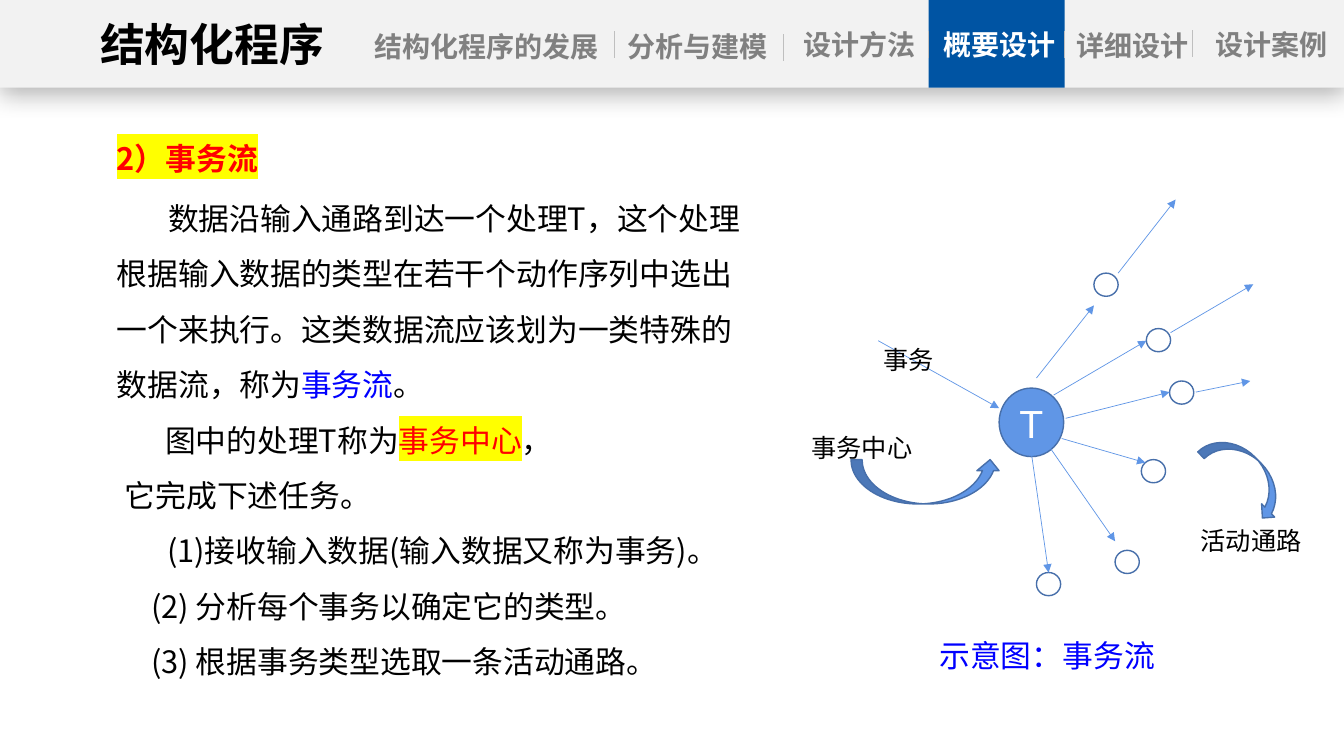
from lxml.etree import SubElement
from pptx import Presentation
from pptx.dml.color import RGBColor
from pptx.enum.shapes import MSO_CONNECTOR, MSO_SHAPE
from pptx.enum.text import MSO_ANCHOR, MSO_AUTO_SIZE, PP_ALIGN
from pptx.oxml import parse_xml
from pptx.oxml.ns import nsdecls, qn
from pptx.util import Pt

EMU_PER_PX = 9144
LATIN_FONT = "Arial"
CJK_FONT = "Noto Sans CJK SC"

BLACK = RGBColor(0x00, 0x00, 0x00)
WHITE = RGBColor(0xFF, 0xFF, 0xFF)
RED = RGBColor(0xFF, 0x00, 0x00)
BLUE = RGBColor(0x00, 0x00, 0xFF)
YELLOW = RGBColor(0xFF, 0xFF, 0x00)
GRAY = RGBColor(0x80, 0x80, 0x80)
HEADER_GRAY = RGBColor(0xF2, 0xF2, 0xF2)
DIVIDER_GRAY = RGBColor(0xBF, 0xBF, 0xBF)
TAB_BLUE = RGBColor(0x00, 0x54, 0xA3)
FLOW_BLUE = RGBColor(0x60, 0x96, 0xE6)
OUTLINE_BLUE = RGBColor(0x47, 0x6F, 0xAA)


def px(value):
    return round(value * EMU_PER_PX)


def place(box, left, top, width, height):
    return px(box[0] + left), px(box[1] + top), px(width), px(height)


def format_run(run, size, color, font=LATIN_FONT, bold=False, highlight=None):
    run.font.size = Pt(size)
    run.font.bold = bold
    run.font.color.rgb = color
    run.font.name = font
    properties = run._r.get_or_add_rPr()
    properties.find(qn("a:latin")).addnext(
        parse_xml(f'<a:ea {nsdecls("a")} typeface="{CJK_FONT}"/>'))
    if highlight is not None:
        properties.find(qn("a:solidFill")).addnext(parse_xml(
            f'<a:highlight {nsdecls("a")}><a:srgbClr val="{highlight}"/></a:highlight>'))


def add_label(shapes, box, bounds, text, size, color, bold=False, wrap=False):
    text_frame = shapes.add_textbox(*place(box, *bounds)).text_frame
    text_frame.word_wrap = wrap
    text_frame.auto_size = MSO_AUTO_SIZE.SHAPE_TO_FIT_TEXT
    text_frame.text = text
    format_run(text_frame.paragraphs[0].runs[0], size, color, bold=bold)
    return text_frame


def add_figure(shapes, box, bounds, kind, fill, outline=None):
    shape = shapes.add_shape(kind, *place(box, *bounds))
    shape.shadow.inherit = False
    shape.fill.solid()
    shape.fill.fore_color.rgb = fill
    if outline is None:
        shape.line.fill.background()
    else:
        shape.line.color.rgb = outline
        shape.line.width = Pt(1)
    return shape


def add_line(shapes, box, start, end, color, arrow=False):
    points = (px(box[axis] + point[axis]) for point in (start, end) for axis in (0, 1))
    connector = shapes.add_connector(MSO_CONNECTOR.STRAIGHT, *points)
    connector.line.color.rgb = color
    connector.line.width = Pt(0.5)
    if arrow:
        SubElement(connector.line._get_or_add_ln(), qn("a:tailEnd"), type="triangle")
    SubElement(connector._element.spPr, qn("a:effectLst"))


def add_header_text(shapes, box, bounds, text, size, color):
    text_frame = add_label(shapes, box, bounds, text, size, color, bold=True, wrap=True)
    text_frame.margin_left = text_frame.margin_right = 0
    text_frame.paragraphs[0].alignment = PP_ALIGN.CENTER


def draw_header(slide, box):
    shapes = slide.shapes
    bar = add_figure(shapes, box, (0, 0, *box[2:]), MSO_SHAPE.RECTANGLE, HEADER_GRAY)
    bar._element.spPr.find(qn("a:effectLst")).append(parse_xml(
        f'<a:outerShdw {nsdecls("a")} blurRad="{Pt(18)}" dist="{Pt(4)}" dir="5400000" '
        'algn="t" rotWithShape="0"><a:srgbClr val="000000"><a:alpha val="29000"/>'
        '</a:srgbClr></a:outerShdw>'))
    add_figure(shapes, box, (921, 0, 135, box[3]), MSO_SHAPE.RECTANGLE, TAB_BLUE)
    for left, top in ((609, 31), (777, 34), (921, 31), (1056, 31), (1183, 30)):
        add_line(shapes, box, (left, top), (left, top + 27), DIVIDER_GRAY)
    add_header_text(shapes, box, (91, 12, 239, 64), "结构化程序", 32, BLACK)
    tabs = (
        ("结构化程序的发展", 364, 24, 237, GRAY),
        ("分析与建模", 618, 24, 147, GRAY),
        ("设计方法", 779, 22, 147, GRAY),
        ("概要设计", 918, 22, 147, WHITE),
        ("详细设计", 1047, 23, 152, GRAY),
        ("设计案例", 1188, 22, 147, GRAY),
    )
    for text, left, top, width, color in tabs:
        add_header_text(shapes, box, (left, top, width, 44), text, 20, color)


def draw_explanation(slide, box):
    heading = {"color": RED, "bold": True, "highlight": YELLOW}
    plain = {"color": BLACK}
    term = {"color": BLUE}
    marked = {"color": RED, "highlight": YELLOW}
    content = (
        (0, (("2）事务流", heading),)),
        (51, (("数据沿输入通路到达一个处理T，这个处理根据输入数据的类型在若干个动作序列中选出"
               "一个来执行。这类数据流应该划为一类特殊的数据流，称为", plain),
              ("事务流", term), ("。", plain))),
        (48, (("图中的处理T称为", plain), ("事务中心", marked), ("，", plain))),
        (8, (("它完成下述任务。", plain),)),
        (None, (("接收输入数据(输入数据又称为事务)。", plain),)),
        (34, (("(2) 分析每个事务以确定它的类型。", plain),)),
        (34, (("(3) 根据事务类型选取一条活动通路。", plain),)),
    )
    text_frame = slide.shapes.add_textbox(*place(box, 0, 0, *box[2:])).text_frame
    text_frame.word_wrap = True
    text_frame.auto_size = MSO_AUTO_SIZE.SHAPE_TO_FIT_TEXT
    for index, (indent, pieces) in enumerate(content):
        paragraph = text_frame.add_paragraph() if index else text_frame.paragraphs[0]
        properties = paragraph._p.get_or_add_pPr()
        if indent is None:
            properties.set("marL", str(px(50)))
            properties.set("indent", "0")
            SubElement(properties, qn("a:buAutoNum"), type="arabicParenBoth")
        else:
            properties.set("marL", "0")
            properties.set("indent", str(px(indent)))
        paragraph.line_spacing = 1.5
        if index == 1:
            paragraph.space_before = Pt(3.5)
        for text, style in pieces:
            run = paragraph.add_run()
            run.text = text
            format_run(run, 22, font=CJK_FONT, **style)


def draw_flow_diagram(slide, box):
    shapes = slide.shapes.add_group_shape().shapes
    center = add_figure(shapes, box, (196, 187, 64, 68), MSO_SHAPE.OVAL,
                        FLOW_BLUE, OUTLINE_BLUE)
    center.text_frame.text = "T"
    center.text_frame.vertical_anchor = MSO_ANCHOR.MIDDLE
    center.text_frame.paragraphs[0].alignment = PP_ALIGN.CENTER
    format_run(center.text_frame.paragraphs[0].runs[0], 28, WHITE)

    for left, top in ((290, 73), (342, 128), (365, 180), (337, 258), (311, 348), (233, 370)):
        add_figure(shapes, box, (left, top, 24, 23), MSO_SHAPE.OVAL, WHITE, OUTLINE_BLUE)

    arrows = (
        ((76, 140), (196, 207)),
        ((233, 177), (290, 105)),
        ((250, 194), (342, 140)),
        ((262, 217), (365, 191)),
        ((258, 237), (341, 261)),
        ((247, 247), (311, 339)),
        ((228, 252), (245, 370)),
        ((314, 73), (371, 0)),
        ((366, 132), (448, 84)),
        ((391, 191), (445, 180)),
    )
    for start, end in arrows:
        add_line(shapes, box, start, end, FLOW_BLUE, arrow=True)

    add_figure(shapes, box, (49, 258, 149, 44), MSO_SHAPE.CURVED_UP_ARROW,
               FLOW_BLUE, OUTLINE_BLUE)
    path_arrow = add_figure(shapes, box, (391, 255, 101, 37), MSO_SHAPE.CURVED_DOWN_ARROW,
                            FLOW_BLUE, OUTLINE_BLUE)
    path_arrow.rotation = 45.6
    labels = (("事务", 71, 139, 71), ("事务中心", 0, 226, 121), ("活动通路", 386, 318, 121))
    for text, left, top, width in labels:
        add_label(shapes, box, (left, top, width, 40), text, 18, BLACK)


def draw_caption(slide, box):
    add_label(slide.shapes, box, (0, 0, *box[2:]), "示意图：事务流", 22, BLUE)


def main():
    presentation = Presentation()
    presentation.slide_width = px(1333)
    presentation.slide_height = px(750)
    slide = presentation.slides.add_slide(presentation.slide_layouts[6])
    draw_explanation(slide, (106, 115, 654, 569))
    draw_flow_diagram(slide, (795, 198, 507, 393))
    draw_caption(slide, (922, 627, 236, 47))
    draw_header(slide, (0, 0, 1333, 87))
    presentation.save("out.pptx")


if __name__ == "__main__":
    main()
